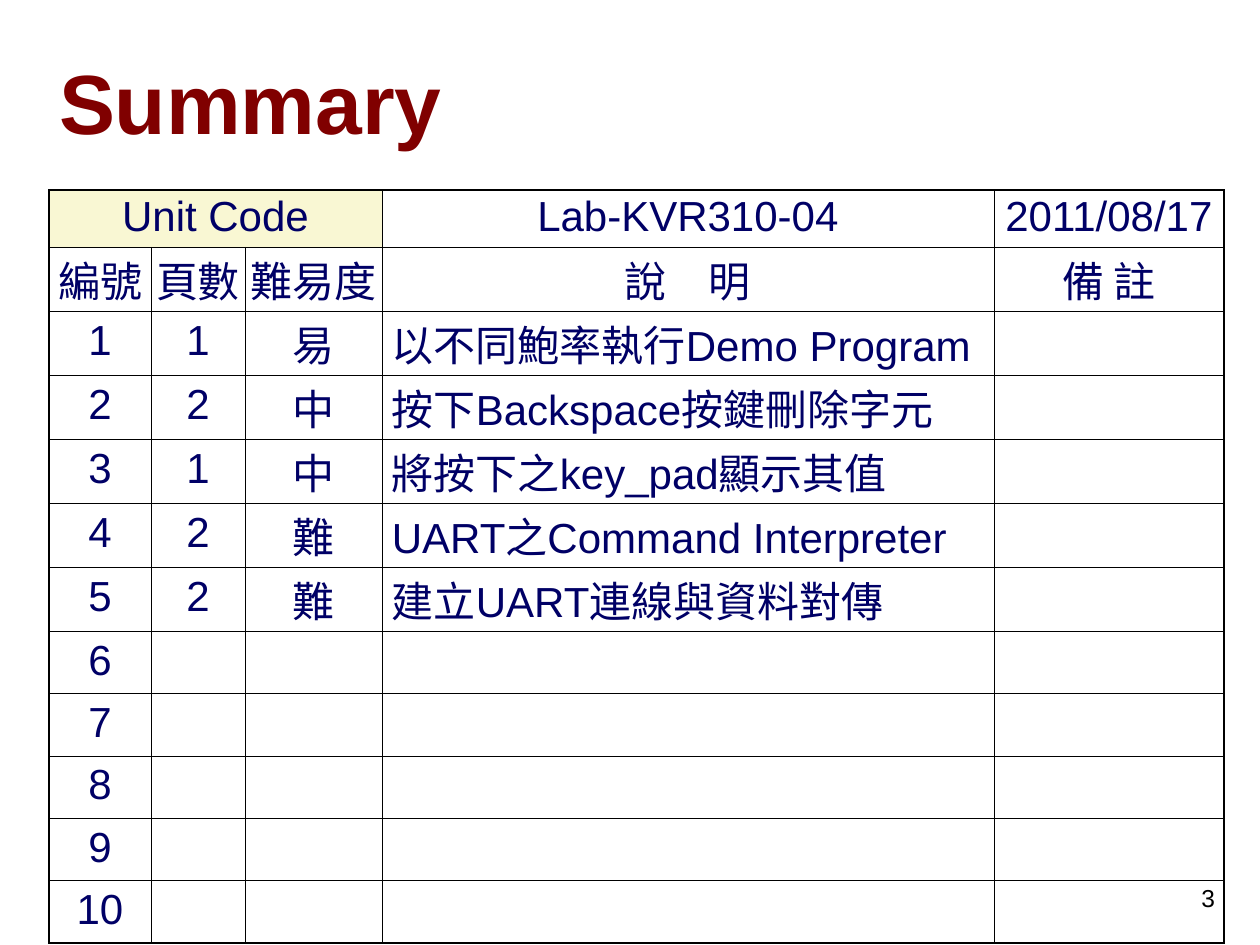
from lxml import etree
from pptx import Presentation
from pptx.dml.color import RGBColor
from pptx.enum.text import MSO_ANCHOR as Anchor, PP_ALIGN as Align
from pptx.oxml.ns import qn
from pptx.util import Emu, Pt

PX = 914400 // 126
FONT = "Arial"
NAVY, MAROON, BLACK, CREAM = "000066", "800000", "000000", "F5F1A9"
THIN, THICK = 0.45, 1.08

COLUMN_WIDTHS = [102, 94, 137, 612, 230]
ROW_HEIGHTS = [52] + [64] * 6 + [57] * 5
DESCRIPTION = 3
HEADINGS = [
    ["Unit Code", "", "", "Lab-KVR310-04", "2011/08/17"],
    ["編號", "頁數", "難易度", "說　明", "備 註"],
]
EXERCISES = [
    ("1", "易", "以不同鮑率執行Demo Program"),
    ("2", "中", "按下Backspace按鍵刪除字元"),
    ("1", "中", "將按下之key_pad顯示其值"),
    ("2", "難", "UART之Command Interpreter"),
    ("2", "難", "建立UART連線與資料對傳"),
]
EXERCISE_SLOTS = 10


def px(length):
    return Emu(length * PX)


def color(value):
    return RGBColor.from_string(value)


def style_font(para, size, value, bold=False):
    font = para.font
    font.name, font.size, font.bold = FONT, Pt(size), bold
    font.color.rgb = color(value)


def write_line(shape, text, size, value, align, bold=False):
    """Fill a shape with one vertically centred line of text."""
    frame = shape.text_frame
    frame.word_wrap = True
    frame.vertical_anchor = Anchor.MIDDLE
    frame.margin_left = frame.margin_right = px(10)
    frame.margin_top = frame.margin_bottom = px(5)
    para = frame.paragraphs[0]
    para.text, para.alignment = text, align
    style_font(para, size, value, bold)


def add_title(page):
    title = page.shapes.title
    title.left, title.top = px(49), px(37)
    title.width, title.height = px(1176), px(128)
    write_line(title, "Summary", 48, MAROON, Align.LEFT, bold=True)


def add_page_number(page):
    box = page.shapes.add_textbox(px(1150), px(868), px(75), px(59))
    write_line(box, "3", 14, BLACK, Align.RIGHT)


def set_borders(cell, widths):
    """Draw the left, right, top and bottom borders, widths in points."""
    properties = cell._tc.get_or_add_tcPr()
    for index, (side, width) in enumerate(zip("LRTB", widths)):
        line = etree.Element(qn(f"a:ln{side}"), w=str(Pt(width)))
        fill = etree.SubElement(line, qn("a:solidFill"))
        etree.SubElement(fill, qn("a:srgbClr"), val=BLACK)
        properties.insert(index, line)


def set_tint(cell, value, percent):
    cell.fill.solid()
    cell.fill.fore_color.rgb = color(value)
    tint = cell._tc.tcPr.find(qn("a:solidFill")).find(qn("a:srgbClr"))
    etree.SubElement(tint, qn("a:alpha"), val=str(percent * 1000))


def format_cell(cell, text, align, side_margin):
    cell.vertical_anchor = Anchor.MIDDLE
    cell.margin_left = cell.margin_right = px(side_margin)
    cell.margin_top = cell.margin_bottom = px(6)
    cell.fill.background()
    para = cell.text_frame.paragraphs[0]
    para.text, para.alignment = text, align
    para.line_spacing = 0.9
    para.space_before, para.space_after = Pt(6), Pt(3)
    style_font(para, 24, NAVY)


def summary_rows():
    blanks = [("", "", "")] * (EXERCISE_SLOTS - len(EXERCISES))
    numbered = enumerate(EXERCISES + blanks, start=1)
    return HEADINGS + [[str(number), *exercise, ""] for number, exercise in numbered]


def add_summary_table(page):
    rows = summary_rows()
    last_row, last_column = len(rows) - 1, len(COLUMN_WIDTHS) - 1
    frame = page.shapes.add_table(len(rows), len(COLUMN_WIDTHS), px(49), px(190),
                                  px(sum(COLUMN_WIDTHS)), px(sum(ROW_HEIGHTS)))
    table = frame.table
    table.first_row = table.horz_banding = False
    for column, width in zip(table.columns, COLUMN_WIDTHS):
        column.width = px(width)
    for row, height in zip(table.rows, ROW_HEIGHTS):
        row.height = px(height)

    for r, texts in enumerate(rows):
        for c, text in enumerate(texts):
            cell = table.cell(r, c)
            is_description = r >= len(HEADINGS) and c == DESCRIPTION
            is_narrow_heading = r == 1 and c < DESCRIPTION
            format_cell(cell, text, Align.LEFT if is_description else Align.CENTER,
                        5 if is_narrow_heading else 10)
            on_edge = (c == 0, c == last_column, r == 0, r == last_row)
            set_borders(cell, [THICK if edge else THIN for edge in on_edge])

    unit_code = table.cell(0, 0)
    unit_code.merge(table.cell(0, 2))
    set_tint(unit_code, CREAM, 50)


def main():
    deck = Presentation()
    deck.slide_width, deck.slide_height = px(1260), px(945)
    page = deck.slides.add_slide(deck.slide_layouts.get_by_name("Title Only"))
    add_page_number(page)
    add_title(page)
    add_summary_table(page)
    deck.save("out.pptx")


if __name__ == "__main__":
    main()
